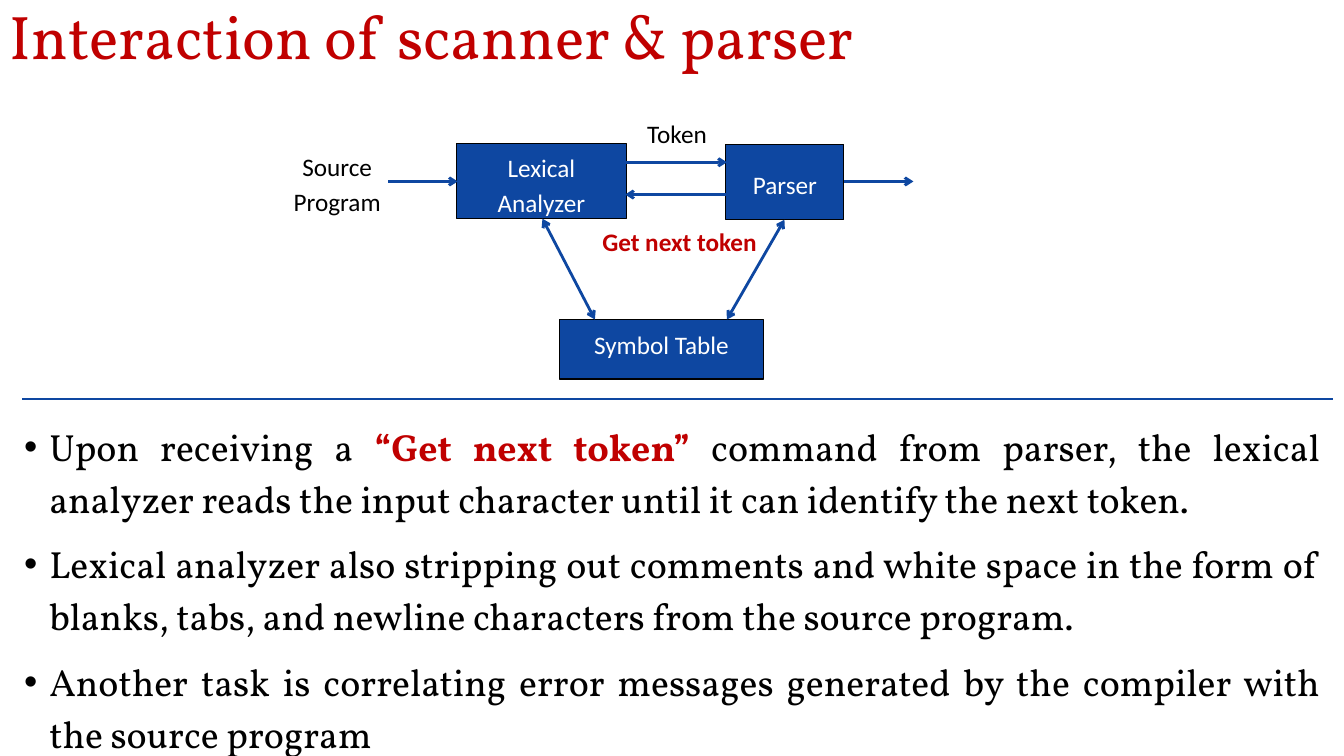
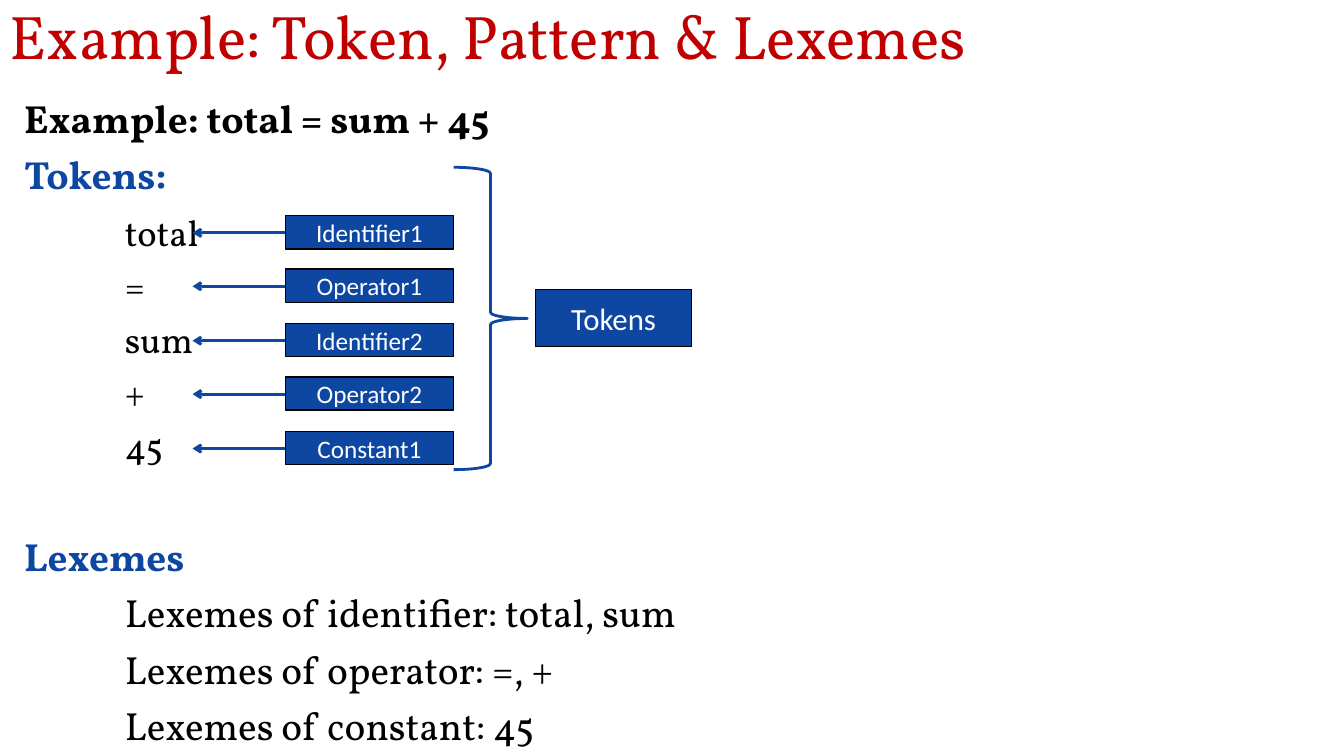
from lxml import etree
from pptx import Presentation
from pptx.dml.color import RGBColor
from pptx.enum.shapes import MSO_CONNECTOR, MSO_SHAPE
from pptx.enum.text import MSO_ANCHOR, PP_ALIGN
from pptx.oxml.ns import qn
from pptx.util import Pt

PX = 9144
WIDTH, HEIGHT = 1333, 750
SERIF, SANS = "Vollkorn", "Calibri"
COLORS = {
    "red": "C00000",
    "blue": "0E47A1",
    "black": "000000",
    "white": "FFFFFF",
}
RECT, BRACE = MSO_SHAPE.RECTANGLE, MSO_SHAPE.RIGHT_BRACE
STRAIGHT = MSO_CONNECTOR.STRAIGHT
TOP, MIDDLE = MSO_ANCHOR.TOP, MSO_ANCHOR.MIDDLE
LEFT, CENTER, JUSTIFY = PP_ALIGN.LEFT, PP_ALIGN.CENTER, PP_ALIGN.JUSTIFY


def px(*values):
    return [value * PX for value in values]


def rgb(name):
    return RGBColor.from_string(COLORS[name])


def set_line(line, color, width):
    line.color.rgb = rgb(color)
    line.width = Pt(width)


def set_frame(tf, anchor=TOP, insets=(10, 5, 10, 5)):
    tf.word_wrap = True
    tf.vertical_anchor = anchor
    tf.margin_left, tf.margin_top, tf.margin_right, tf.margin_bottom = px(*insets)


def add_run(p, text, size, color, font=SERIF, bold=False):
    r = p.add_run()
    r.text = text
    r.font.name = font
    r.font.size = Pt(size)
    r.font.bold = bold
    r.font.color.rgb = rgb(color)


def set_paragraph(p, align, spacing, before=0, after=0):
    p.alignment = align
    p.line_spacing = spacing
    p.space_before = Pt(before)
    p.space_after = Pt(after)


def indent(p, left, first=0):
    pPr = p._p.get_or_add_pPr()
    pPr.set("marL", str(left * PX))
    pPr.set("indent", str(first * PX))
    return pPr


def add_bullet(p):
    pPr = indent(p, 25, -25)
    etree.SubElement(pPr, qn("a:buFont"), typeface="Arial")
    etree.SubElement(pPr, qn("a:buChar"), char="•")


def add_text(s, box, anchor=TOP, insets=(10, 5, 10, 5)):
    tf = s.shapes.add_textbox(*px(*box)).text_frame
    set_frame(tf, anchor, insets)
    return tf


def next_paragraph(tf, index):
    return tf.add_paragraph() if index else tf.paragraphs[0]


def add_shape(s, kind, box, fill, line, width):
    sp = s.shapes.add_shape(kind, *px(*box))
    sp.shadow.inherit = False
    if fill:
        sp.fill.solid()
        sp.fill.fore_color.rgb = rgb(fill)
    else:
        sp.fill.background()
    set_line(sp.line, line, width)
    return sp


def add_block(s, box, text, inset_top=5):
    sp = add_shape(s, RECT, box, "blue", "black", 0.75)
    set_frame(sp.text_frame, insets=(10, inset_top, 10, 5))
    add_caption(sp.text_frame, text, "white")


def add_label(s, box, text):
    sp = add_shape(s, RECT, box, "white", "white", 0.75)
    set_frame(sp.text_frame)
    add_caption(sp.text_frame, text, "black")


def add_caption(tf, text, color, bold=False):
    p = tf.paragraphs[0]
    set_paragraph(p, CENTER, 1.15, after=10)
    add_run(p, text, 18, color, SANS, bold)


def add_tag(s, box, text, size):
    sp = add_shape(s, RECT, box, "blue", "black", 1)
    set_frame(sp.text_frame, MIDDLE)
    p = sp.text_frame.paragraphs[0]
    set_paragraph(p, CENTER, 1.0)
    add_run(p, text, size, "white", SANS)


def add_line(s, start, end, width=2, ends=()):
    cn = s.shapes.add_connector(STRAIGHT, *px(*start, *end))
    set_line(cn.line, "blue", width)
    ln = cn.line._get_or_add_ln()
    for end_tag in ends:
        etree.SubElement(ln, qn(end_tag), type="arrow")
    etree.SubElement(cn._element.spPr, qn("a:effectLst"))


def add_arrow(s, start, end):
    add_line(s, start, end, ends=("a:tailEnd",))


def add_double_arrow(s, start, end):
    add_line(s, start, end, ends=("a:headEnd", "a:tailEnd"))


def add_titled_slide(prs, title):
    s = prs.slides.add_slide(prs.slide_layouts[6])
    p = add_text(s, (0, 0, WIDTH, 78), MIDDLE).paragraphs[0]
    set_paragraph(p, LEFT, 0.9)
    add_run(p, title, 44, "red")
    return s


def build_interaction(prs):
    s = add_titled_slide(prs, "Interaction of scanner & parser")
    bullets = [
        [("Upon receiving a ", "black", False),
         ("“Get next token” ", "red", True),
         ("command from parser, the lexical analyzer reads the input character "
          "until it can identify the next token.", "black", False)],
        [("Lexical analyzer also stripping out comments and white space in the form "
          "of blanks, tabs, and newline characters from the source program.",
          "black", False)],
        [("Another task is correlating error messages generated by the compiler "
          "with the source program", "black", False)],
    ]
    tf = add_text(s, (14, 409, 1305, 299))
    for i, runs in enumerate(bullets):
        p = next_paragraph(tf, i)
        add_bullet(p)
        set_paragraph(p, JUSTIFY, 1.14, before=10 if i else 0)
        for text, color, bold in runs:
            add_run(p, text, 27, color, bold=bold)

    add_block(s, (453, 142, 168, 75), "Lexical Analyzer")
    add_block(s, (555, 317, 202, 59), "Symbol Table")
    add_block(s, (720, 143, 117, 75), "Parser", inset_top=20)
    add_label(s, (627, 108, 89, 39), "Token")
    add_label(s, (273, 141, 123, 85), "Source Program")
    tf = add_text(s, (592, 220, 164, 44), insets=(0, 0, 0, 0))
    add_caption(tf, "Get next token", "red", bold=True)

    add_arrow(s, (385, 180), (454, 180))
    add_arrow(s, (621, 161), (721, 161))
    add_arrow(s, (720, 193), (620, 193))
    add_arrow(s, (837, 180), (906, 180))
    add_double_arrow(s, (538, 217), (590, 317))
    add_double_arrow(s, (778, 218), (721, 317))
    add_line(s, (22, 396), (1322, 396), width=1)


def build_example(prs):
    s = add_titled_slide(prs, "Example: Token, Pattern & Lexemes")
    heading, token, lexeme = (0, 28, True), (100, 26, False), (100, 28, False)
    lines = [
        ("Example: total = sum + 45", heading, "black", 0),
        ("Tokens:", heading, "blue", 10),
        ("total", token, "black", 12),
        ("=", token, "black", 10),
        ("sum", token, "black", 10),
        ("+", token, "black", 10),
        ("45", token, "black", 10),
        ("Lexemes", heading, "blue", 50),
        ("Lexemes of identifier: total, sum", lexeme, "black", 10),
        ("Lexemes of operator: =, +", lexeme, "black", 10),
        ("Lexemes of constant: 45", lexeme, "black", 10),
    ]
    tf = add_text(s, (14, 94, 1305, 611))
    for i, (text, (left, size, bold), color, before) in enumerate(lines):
        p = next_paragraph(tf, i)
        indent(p, left)
        set_paragraph(p, JUSTIFY, 0.9, before=before)
        add_run(p, text, size, color, bold=bold)

    tags = ["Identifier1", "Operator1", "Identifier2", "Operator2", "Constant1"]
    for i, text in enumerate(tags):
        top = 214 + i * 107 // 2
        add_tag(s, (283, top, 167, 33), text, 18)
        add_arrow(s, (283, top + 17), (191, top + 17))
    add_shape(s, BRACE, (450, 166, 73, 300), None, "blue", 2)
    add_tag(s, (531, 287, 155, 57), "Tokens", 22)


def main():
    prs = Presentation()
    prs.slide_width, prs.slide_height = px(WIDTH, HEIGHT)
    build_interaction(prs)
    build_example(prs)
    prs.save("out.pptx")


if __name__ == "__main__":
    main()
